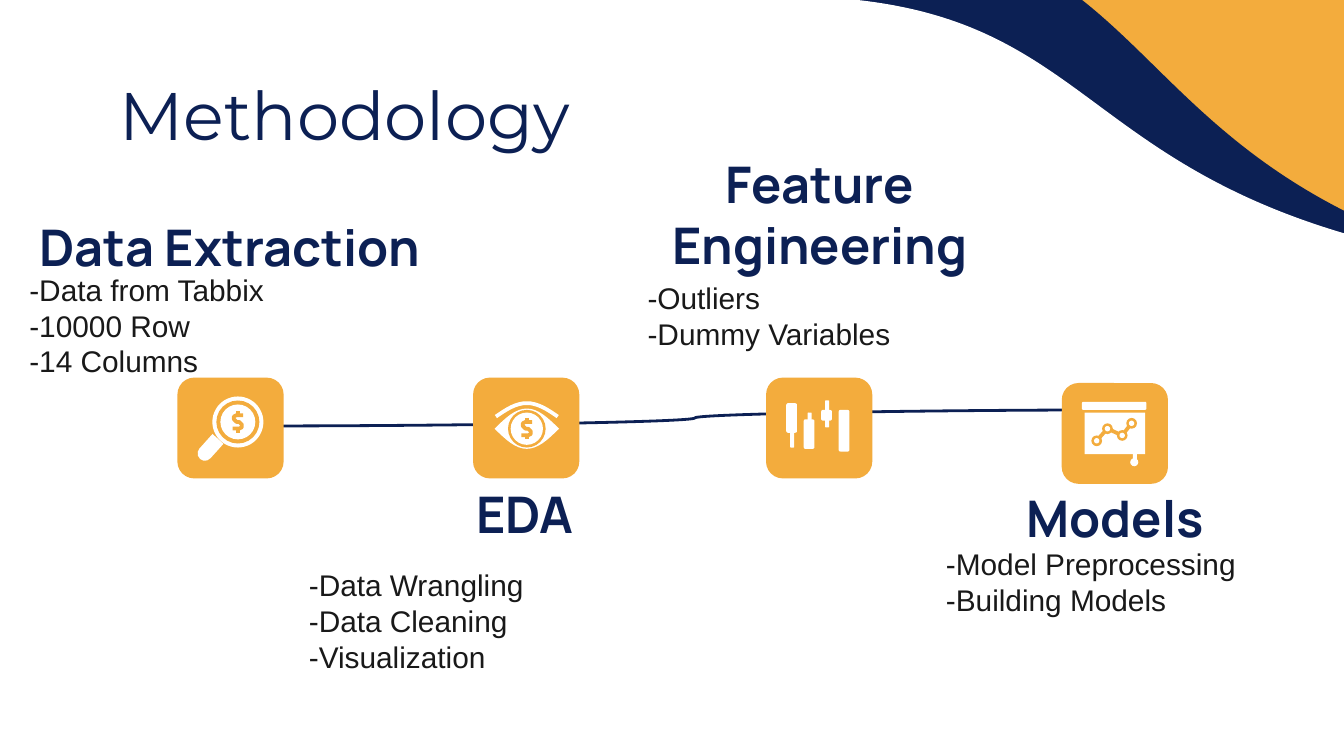
from dataclasses import dataclass
from math import cos, pi

from lxml.etree import SubElement
from pptx import Presentation
from pptx.dml.color import RGBColor
from pptx.enum.shapes import MSO_CONNECTOR as CONN, MSO_SHAPE as SHAPE
from pptx.enum.text import MSO_ANCHOR as ANCHOR, PP_ALIGN as ALIGN
from pptx.oxml.ns import qn
from pptx.util import Inches, Pt


@dataclass(frozen=True)
class Theme:
    navy: RGBColor = RGBColor.from_string("0C2054")
    gold: RGBColor = RGBColor.from_string("F3AC3D")
    white: RGBColor = RGBColor.from_string("FFFFFF")
    ink: RGBColor = RGBColor.from_string("191919")
    title_size: int = 36
    heading_size: int = 27
    body_size: int = 16
    line: float = 1.5
    icon_line: float = 2


T = Theme()
TITLE = dict(name="Montserrat", size=Pt(T.title_size), bold=False, color=T.navy)
HEADING = dict(name="Manrope", size=Pt(T.heading_size), bold=True, color=T.navy)
BODY = dict(name="Arial", size=Pt(T.body_size), bold=False, color=T.ink)


# Drawing helpers
def add_shape(slide, kind, box, color, rotation=0):
    sp = slide.shapes.add_shape(kind, *map(Inches, box))
    sp.shadow.inherit = False
    sp.fill.solid()
    sp.fill.fore_color.rgb = color
    sp.line.fill.background()
    sp.rotation = rotation
    return sp


def add_disc(slide, x, y, r, color):
    add_shape(slide, SHAPE.OVAL, (x - r, y - r, 2 * r, 2 * r), color)


def add_path(slide, x, y, strokes, color, filled=False):
    """Draw strokes whose points are offsets from (x, y)."""
    first, *others = [[(Inches(x + dx), Inches(y + dy)) for dx, dy in s]
                      for s in strokes]
    fb = slide.shapes.build_freeform(*first[0])
    fb.add_line_segments(first[1:], close=filled)
    for points in others:
        fb.move_to(*points[0])
        fb.add_line_segments(points[1:], close=filled)
    sp = fb.convert_to_shape()
    sp.shadow.inherit = False
    if filled:
        sp.fill.solid()
        sp.fill.fore_color.rgb = color
        sp.line.fill.background()
    else:
        sp.fill.background()
        sp.line.color.rgb = color
        sp.line.width = Pt(T.icon_line)


def bow(half_width, height, base=0, steps=16):
    """Points of an arch, from left to right."""
    ts = [2 * i / steps - 1 for i in range(steps + 1)]
    return [(half_width * t, base - height * cos(pi * t / 2)) for t in ts]


def set_text(sp, lines, style, align=ALIGN.LEFT):
    tf = sp.text_frame
    tf.word_wrap = True
    tf.vertical_anchor = ANCHOR.MIDDLE
    for side in ("left", "top", "right", "bottom"):
        setattr(tf, f"margin_{side}", Inches(0.1))
    for i, line in enumerate(lines):
        p = tf.paragraphs[0] if i == 0 else tf.add_paragraph()
        p.alignment = align
        r = p.add_run()
        r.text = line
        for name, value in style.items():
            if name == "color":
                r.font.color.rgb = value
            else:
                setattr(r.font, name, value)


def add_text(slide, box, *args):
    set_text(slide.shapes.add_textbox(*map(Inches, box)), *args)


# Icons, each placed from the top left of its tile
def coin(slide, x, y, r):
    add_disc(slide, x, y, r, T.white)
    s_curve = [(0.04, -0.05), (-0.01, -0.05), (-0.03, -0.04), (-0.03, -0.02),
               (-0.01, 0), (0.01, 0), (0.03, 0.02), (0.03, 0.04),
               (0.01, 0.05), (-0.04, 0.05)]
    stems = [[(0, -0.08), (0, -0.05)], [(0, 0.05), (0, 0.08)]]
    add_path(slide, x, y, [s_curve, *stems], T.gold)


def magnifier_icon(slide, x, y):
    handle = add_shape(slide, SHAPE.ROUND_2_SAME_RECTANGLE,
                       (x + 0.18, y + 0.43, 0.11, 0.2), T.white, 222)
    handle.adjustments[0] = 0.5
    cx, cy = x + 0.45, y + 0.33
    add_disc(slide, cx, cy, 0.19, T.white)
    add_disc(slide, cx, cy, 0.16, T.gold)
    coin(slide, cx, cy, 0.13)


def eye_icon(slide, x, y):
    cx, cy = x + 0.4, y + 0.38
    lens = bow(0.24, 0.15) + bow(0.24, -0.15)[::-1]
    add_path(slide, cx, cy, [lens], T.white, True)
    add_path(slide, cx, cy, [bow(0.23, 0.1, -0.09)], T.white)
    add_disc(slide, cx, cy, 0.14, T.gold)
    coin(slide, cx, cy, 0.12)


def candles_icon(slide, x, y):
    # Body left, top and height, then wick top and height
    for left, top, height, wick_top, wick in (
            (0.15, 0.19, 0.22, 0.38, 0.14), (0.28, 0.31, 0.22, 0.26, 0.14),
            (0.41, 0.24, 0.08, 0.17, 0.2), (0.54, 0.24, 0.31, 0.3, 0.1)):
        for box in ((x + left, y + top, 0.08, height),
                    (x + left + 0.03, y + wick_top, 0.03, wick)):
            add_shape(slide, SHAPE.ROUNDED_RECTANGLE, box, T.white)


def board_icon(slide, x, y):
    add_shape(slide, SHAPE.ROUNDED_RECTANGLE, (x + 0.15, y + 0.14, 0.48, 0.06), T.white)
    add_shape(slide, SHAPE.RECTANGLE, (x + 0.17, y + 0.22, 0.45, 0.31), T.white)
    add_shape(slide, SHAPE.RECTANGLE, (x + 0.53, y + 0.52, 0.03, 0.06), T.white)
    add_disc(slide, x + 0.54, y + 0.59, 0.03, T.white)
    nodes = [(0.26, 0.43), (0.34, 0.34), (0.45, 0.39), (0.52, 0.3)]
    add_path(slide, x, y, [nodes], T.gold)
    for dx, dy in nodes:
        add_disc(slide, x + dx, y + dy, 0.04, T.gold)
        add_disc(slide, x + dx, y + dy, 0.02, T.white)


# Regions
def add_backdrop(slide):
    slide.background.fill.solid()
    slide.background.fill.fore_color.rgb = T.gold
    for box, color, rotation in (
            ((4.73, -0.27, 5.62, 6), T.navy, 198.2),
            ((4.92, 0.25, 5.07, 4.47), T.white, 194.3),
            ((-0.99, -0.69, 11.42, 7.82), T.white, 194.3)):
        sp = add_shape(slide, SHAPE.FLOWCHART_DOCUMENT, box, color, rotation)
        sp._element.spPr.find(qn("a:xfrm")).set("flipH", "1")


def add_title(slide, box, text):
    title = slide.shapes.title
    title.left, title.top, title.width, title.height = map(Inches, box)
    set_text(title, [text], TITLE)
    # The title starts behind the backdrop, so bring it forward
    slide.shapes._spTree.append(title._element)


def add_timeline(slide, start, end):
    c = slide.shapes.add_connector(CONN.CURVE, *map(Inches, start + end))
    c.line.color.rgb = T.navy
    c.line.width = Pt(T.line)
    SubElement(c._element.spPr, qn("a:effectLst"))


def add_stage(slide, tile, icon, heading_box, heading, body_box, body):
    add_shape(slide, SHAPE.ROUNDED_RECTANGLE, (*tile, 0.79, 0.75), T.gold)
    icon(slide, *tile)
    add_text(slide, body_box, body, BODY)
    add_text(slide, heading_box, [heading], HEADING, ALIGN.CENTER)


STAGES = [
    ((1.32, 2.81), magnifier_icon, (0.07, 1.55, 3.28, 0.56), "Data Extraction",
     (0.12, 1.6, 2.39, 1.64), ["-Data from Tabbix", "-10000 Row", "-14 Columns"]),
    ((3.52, 2.81), eye_icon, (2.98, 3.54, 1.85, 0.56), "EDA",
     (2.2, 3.42, 3.38, 2.39), ["-Data Wrangling", "-Data Cleaning", "-Visualization"]),
    ((5.7, 2.81), candles_icon, (4.74, 1.31, 2.72, 0.56), "Feature Engineering",
     (4.72, 1.12, 3.08, 2.46), ["-Outliers", "-Dummy Variables"]),
    ((7.9, 2.85), board_icon, (7.37, 3.57, 1.85, 0.56), "Models",
     (6.94, 3.65, 2.71, 1.35), ["-Model Preprocessing", "-Building Models"]),
]


def main():
    prs = Presentation()
    prs.slide_width = Inches(10)
    prs.slide_height = prs.slide_width * 9 // 16
    slide = prs.slides.add_slide(prs.slide_layouts[5])
    add_backdrop(slide)
    add_title(slide, (0.79, 0.58, 8.43, 0.53), "Methodology")
    add_timeline(slide, (1.82, 3.17), (8.52, 3.05))
    for stage in STAGES:
        add_stage(slide, *stage)
    prs.save("out.pptx")


if __name__ == "__main__":
    main()
